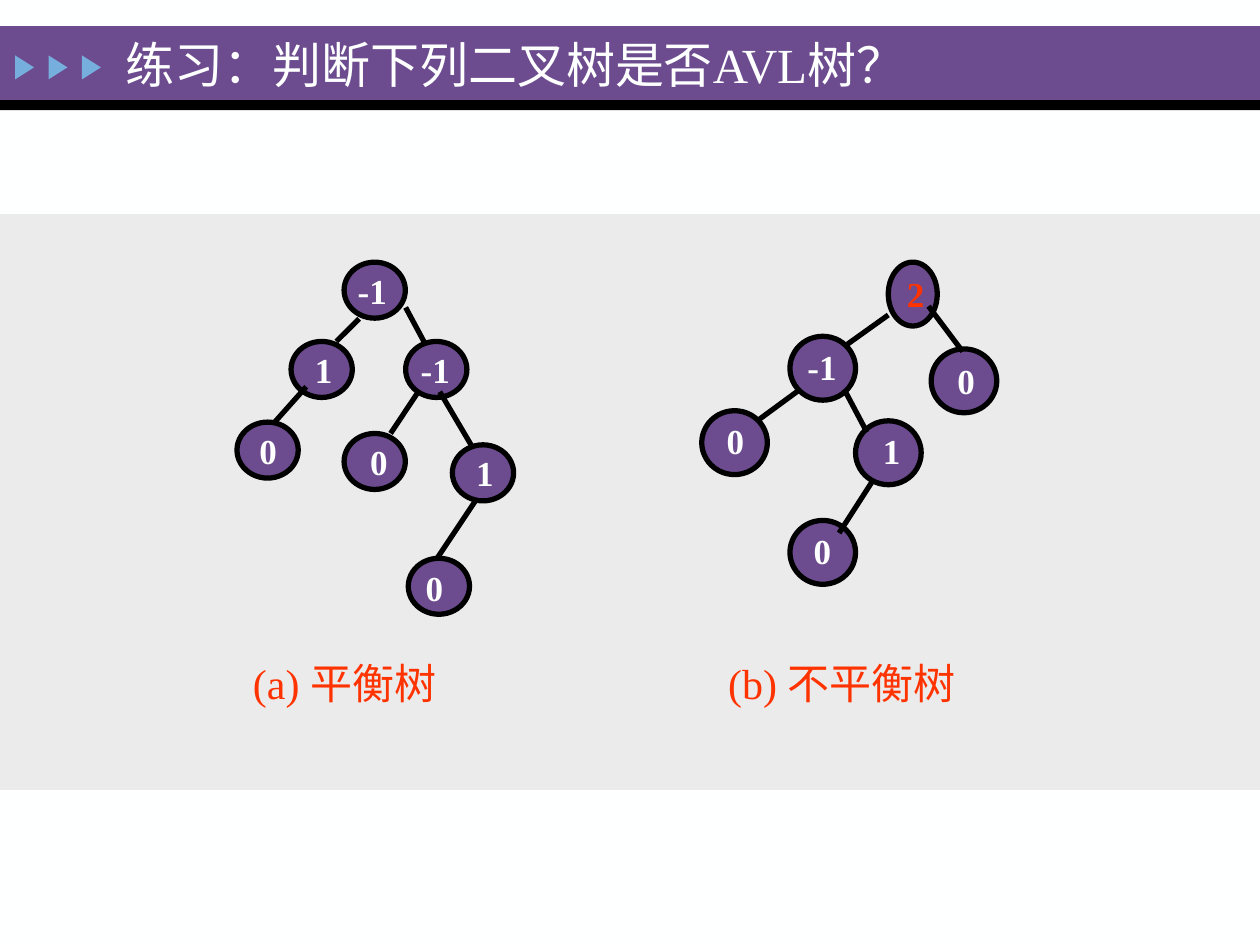
from typing import NamedTuple

from lxml import etree
from pptx import Presentation
from pptx.dml.color import RGBColor
from pptx.enum.shapes import MSO_CONNECTOR as Link, MSO_SHAPE as Kind
from pptx.enum.text import MSO_ANCHOR as Anchor, MSO_AUTO_SIZE as Fit
from pptx.oxml.ns import qn
from pptx.util import Pt

FONT = "Times New Roman"
PURPLE, BLACK, WHITE = "6C4C8F", "000000", "FEFFFF"
RED, BLUE, GRAY = "FF3300", "76AEDD", "EBEBEB"


class Node(NamedTuple):
    x: float
    y: float
    text: str
    tx: float  # left and top of the label
    ty: float
    color: str = WHITE
    w: float | None = None  # width, when not that of the tree


class Edge(NamedTuple):
    x1: float
    y1: float
    x2: float
    y2: float


class Tree(NamedTuple):
    w: float
    h: float
    nodes: list[Node]
    edges: list[Edge]


TREES = [
    Tree(35, 32, [
        Node(196.6, 149.8, "-1", 197.3, 150.5),
        Node(166.3, 195.1, "1", 172.8, 195.8),
        Node(231.8, 195.1, "-1", 233.3, 195.8),
        Node(135.4, 241.2, "0", 141.1, 241.9),
        Node(196.6, 247.7, "0", 204.5, 248.4),
        Node(258.5, 254.2, "1", 265, 254.2),
        Node(233.3, 319, "0", 236.2, 320.4),
    ], [
        Edge(205.2, 182.2, 192.2, 195.1),
        Edge(231.8, 175.7, 243.4, 197.3),
        Edge(175, 221, 157, 241.2),
        Edge(239, 223.9, 223.2, 247.7),
        Edge(251.3, 223.9, 270, 255.6),
        Edge(271.4, 286.6, 249.8, 319),
    ]),
    Tree(37.5, 36.5, [
        Node(507.6, 149.8, "2", 511.2, 151.9, RED, 28),
        Node(451.4, 192.2, "-1", 454.3, 193.7),
        Node(532.1, 199.4, "0", 540, 201.6),
        Node(401, 234.7, "0", 408.2, 236.2),
        Node(488.9, 240.5, "1", 497.5, 241.9),
        Node(451.4, 297.4, "0", 457.9, 298.8),
    ], [
        Edge(507.6, 180, 482.4, 198),
        Edge(530.6, 175, 550.1, 200.9),
        Edge(457.2, 222.5, 432.7, 240.5),
        Edge(482.4, 222.5, 495.4, 247),
        Edge(499, 274.3, 479.5, 304.6),
    ]),
]


def rgb(code: str) -> RGBColor:
    return RGBColor.from_string(code)


def add_shape(slide, kind, x: float, y: float, w: float, h: float,
              fill: str, line: str | None = None):
    shape = slide.shapes.add_shape(kind, Pt(x), Pt(y), Pt(w), Pt(h))
    shape.shadow.inherit = False
    shape.fill.solid()
    shape.fill.fore_color.rgb = rgb(fill)
    if line:
        shape.line.color.rgb = rgb(line)
        shape.line.width = Pt(3)
    else:
        shape.line.fill.background()
    return shape


def add_edge(slide, edge: Edge) -> None:
    line = slide.shapes.add_connector(Link.STRAIGHT, *map(Pt, edge))
    line.line.color.rgb = rgb(BLACK)
    line.line.width = Pt(3)
    etree.SubElement(line._element.spPr, qn("a:effectLst"))


def add_text(slide, text: str, x: float, y: float, w: float, h: float, *,
             size: float, color: str, bold: bool = False, wrap: bool = True,
             fit=Fit.SHAPE_TO_FIT_TEXT, anchor=Anchor.TOP,
             tab: float | None = None) -> None:
    box = slide.shapes.add_textbox(Pt(x), Pt(y), Pt(w), Pt(h))
    frame = box.text_frame
    frame.word_wrap, frame.auto_size = wrap, fit
    frame.vertical_anchor = anchor
    par = frame.paragraphs[0]
    par.text = text
    if tab:
        stops = etree.SubElement(par._p.get_or_add_pPr(), qn("a:tabLst"))
        etree.SubElement(stops, qn("a:tab"), pos=str(Pt(tab)), algn="l")
    font = par.runs[0].font
    font.name, font.size, font.bold = FONT, Pt(size), bold
    font.color.rgb = rgb(color)


def add_tree(slide, tree: Tree) -> None:
    for node in tree.nodes:
        add_shape(slide, Kind.OVAL, node.x, node.y, node.w or tree.w, tree.h,
                  PURPLE, BLACK)
    for edge in tree.edges:
        add_edge(slide, edge)
    for node in tree.nodes:
        width = 24.5 if len(node.text) == 1 else 31.5
        add_text(slide, node.text, node.tx, node.ty, width, 31.5,
                 size=20, color=node.color, bold=True, wrap=False)


def add_head(slide) -> None:
    add_shape(slide, Kind.RECTANGLE, 0, 15, 720, 42.5, PURPLE)
    add_shape(slide, Kind.RECTANGLE, 0, 57.2, 720, 5.8, BLACK)
    for i in range(3):
        mark = add_shape(slide, Kind.ISOSCELES_TRIANGLE,
                         7.2 + 19.1 * i, 33.1, 13.7, 10.8, BLUE)
        mark.rotation = 90
    add_text(slide, "练习：判断下列二叉树是否AVL树？", 64.8, 15.8, 518.4, 41,
             size=28, color=WHITE, fit=Fit.NONE, anchor=Anchor.MIDDLE)


def main() -> None:
    deck = Presentation()
    deck.slide_width, deck.slide_height = Pt(720), Pt(540)
    slide = deck.slides.add_slide(deck.slide_layouts[6])
    back = slide.background.fill
    back.solid()
    back.fore_color.rgb = rgb(WHITE)
    add_head(slide)
    add_shape(slide, Kind.RECTANGLE, 0, 122.4, 720, 329, GRAY)
    for tree in TREES:
        add_tree(slide, tree)
    add_text(slide, "(a) 平衡树\t(b) 不平衡树", 137.5, 372.2, 432, 36,
             size=24, color=RED, tab=271.5)
    deck.save("out.pptx")


if __name__ == "__main__":
    main()
